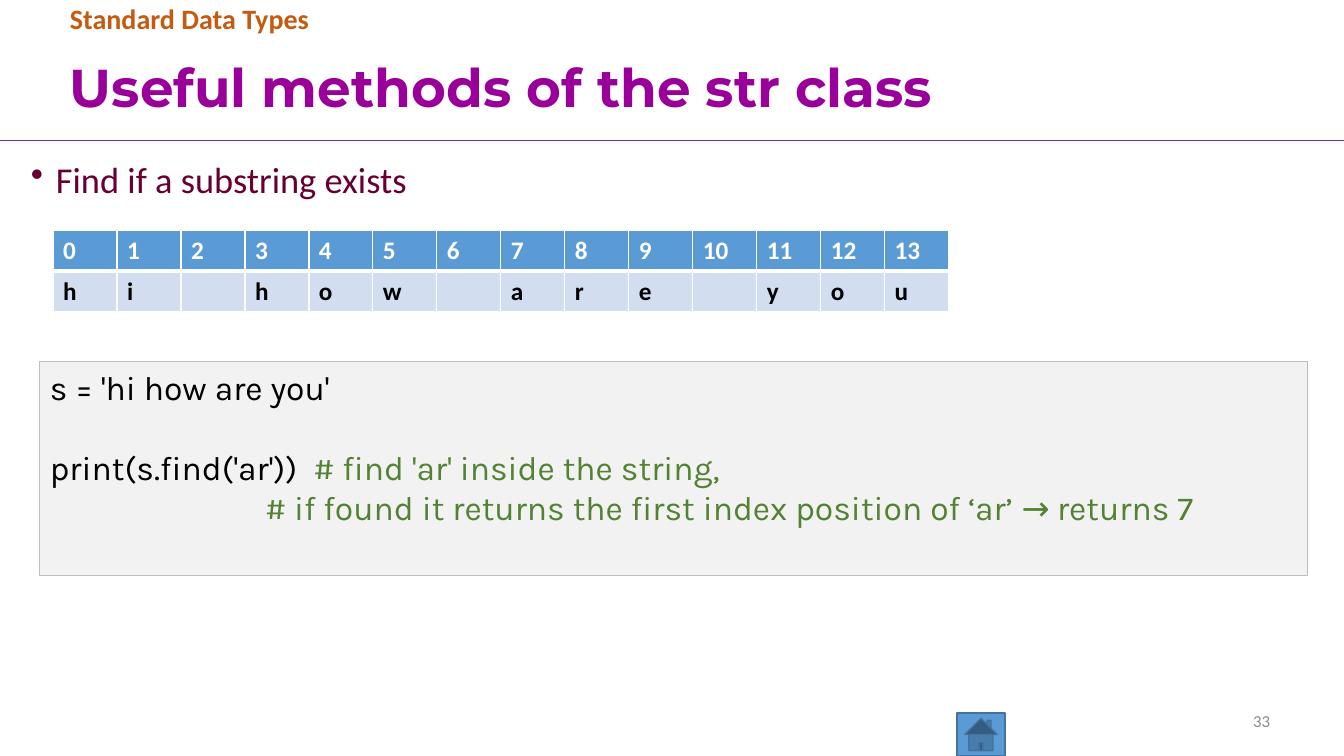
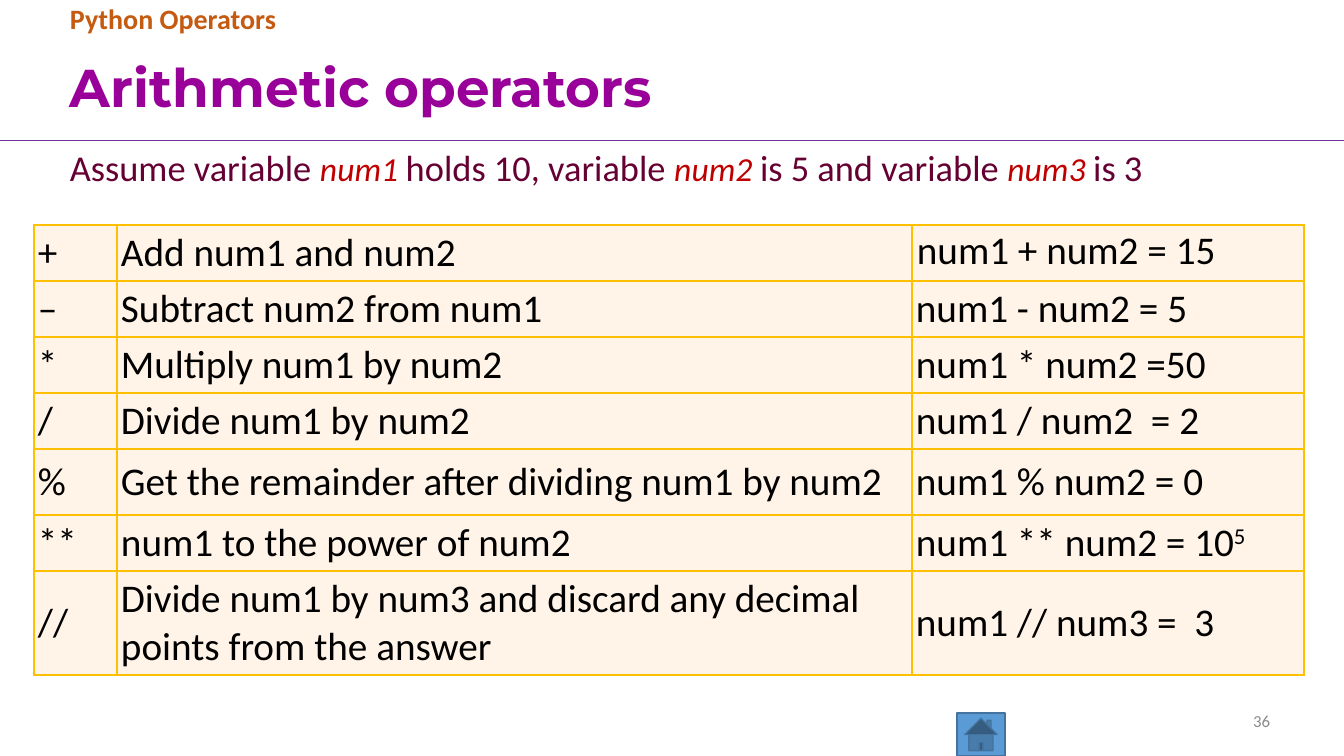
from dataclasses import dataclass

from lxml import etree
from pptx import Presentation
from pptx.dml.color import RGBColor
from pptx.enum.shapes import MSO_CONNECTOR, MSO_SHAPE
from pptx.enum.text import MSO_ANCHOR as Anchor, PP_ALIGN as Align
from pptx.oxml.ns import qn
from pptx.util import Emu, Pt

SLIDE_WIDTH, SLIDE_HEIGHT = 1344, 756
EMU_PER_PX = 12192000 / SLIDE_WIDTH

BODY_FONT, TITLE_FONT, CODE_FONT = "Calibri", "Montserrat", "Karla"
BLACK, WHITE = "000000", "FFFFFF"
PURPLE, ORANGE, PLUM, GRAY = "990099", "C55A11", "660033", "8C8C8C"
RULE_COLOR = "7030A0"
BLUE, DARK_BLUE, PALE_BLUE = "5B9BD5", "43739E", "D2DEEF"
CODE_FILL, CODE_LINE, COMMENT_GREEN = "F2F2F2", "BFBFBF", "548235"
GOLD, CREAM, RED = "FFC000", "FFF4E7", "C00000"


@dataclass(frozen=True)
class Box:
    left: int
    top: int
    width: int
    height: int

    def emu(self):
        return px(self.left), px(self.top), px(self.width), px(self.height)


@dataclass(frozen=True)
class Header:
    topic: str
    title: str
    number: int


@dataclass(frozen=True)
class Operator:
    symbol: str
    meaning: str
    example: str
    height: int = 56
    exponent: str = ""


OPERATORS = [
    Operator("+", "Add num1 and num2", "num1 + num2 = 15"),
    Operator("–", "Subtract num2 from num1", "num1 - num2 = 5"),
    Operator("*", "Multiply num1 by num2", "num1 * num2 =50"),
    Operator("/", "Divide num1 by num2", "num1 / num2  = 2"),
    Operator("%", "Get the remainder after dividing num1 by num2", "num1 % num2 = 0", 66),
    Operator("**", "num1 to the power of num2", "num1 ** num2 = 10", exponent="5"),
    Operator("//", "Divide num1 by num3 and discard any decimal points from the answer",
             "num1 // num3 =  3", 104),
]


def px(length: int) -> Emu:
    return Emu(round(length * EMU_PER_PX))


def rgb(color: str) -> RGBColor:
    return RGBColor.from_string(color)


def add_text(paragraph, text: str, *, size: int, color: str = BLACK, font: str = BODY_FONT,
             bold: bool = False, italic: bool = False, superscript: bool = False) -> None:
    run = paragraph.add_run()
    run.text = text
    run.font.name = font
    run.font.size = Pt(size)
    run.font.bold = bold
    run.font.italic = italic
    run.font.color.rgb = rgb(color)
    if superscript:
        run._r.get_or_add_rPr().set("baseline", "30000")


def add_text_box(slide, box: Box, anchor=Anchor.TOP):
    """Add an empty wrapping text box and return its first paragraph."""
    frame = slide.shapes.add_textbox(*box.emu()).text_frame
    frame.word_wrap = True
    frame.vertical_anchor = anchor
    return frame.paragraphs[0]


def add_filled_shape(slide, kind, box: Box, fill: str, line: str, line_width: float):
    shape = slide.shapes.add_shape(kind, *box.emu())
    shape.shadow.inherit = False
    shape.fill.solid()
    shape.fill.fore_color.rgb = rgb(fill)
    shape.line.color.rgb = rgb(line)
    shape.line.width = Pt(line_width)
    return shape


def add_slide(presentation, header: Header):
    """Add a slide with the rule, home button, title, topic and number."""
    slide = presentation.slides.add_slide(presentation.slide_layouts[6])
    rule = slide.shapes.add_connector(
        MSO_CONNECTOR.STRAIGHT, 0, px(140), px(SLIDE_WIDTH), px(140))
    rule.line.color.rgb = rgb(RULE_COLOR)
    rule.line.width = Pt(0.5)
    etree.SubElement(rule._element.spPr, qn("a:effectLst"))
    add_filled_shape(slide, MSO_SHAPE.ACTION_BUTTON_HOME, Box(957, 713, 48, 43),
                     BLUE, DARK_BLUE, 1)

    title = add_text_box(slide, Box(60, 41, 1219, 98), Anchor.MIDDLE)
    title.line_spacing = 0.9
    add_text(title, header.title, size=38, color=PURPLE, font=TITLE_FONT, bold=True)
    topic = add_text_box(slide, Box(60, 0, 1042, 41))
    topic.line_spacing = 0.9
    add_text(topic, header.topic, size=20, color=ORANGE, bold=True)
    number = add_text_box(slide, Box(950, 701, 330, 40), Anchor.MIDDLE)
    number.alignment = Align.RIGHT
    add_text(number, str(header.number), size=12, color=GRAY)
    return slide


def add_bullet(paragraph, indent: int) -> None:
    properties = paragraph._p.get_or_add_pPr()
    properties.set("marL", str(px(indent)))
    properties.set("indent", str(-px(indent)))
    etree.SubElement(properties, qn("a:buChar"), char="•")


def add_table(slide, left: int, top: int, widths: list[int], heights: list[int]):
    box = Box(left, top, sum(widths), sum(heights))
    table = slide.shapes.add_table(len(heights), len(widths), *box.emu()).table
    table.first_row = table.horz_banding = False
    for column, width in zip(table.columns, widths):
        column.width = px(width)
    for row, height in zip(table.rows, heights):
        row.height = px(height)
    return table


def style_cell(cell, fill: str, border: str, top: int = 1, bottom: int = 1) -> None:
    """Set the fill and borders; top and bottom are border widths in points."""
    properties = cell._tc.get_or_add_tcPr()
    for side, width in {"lnL": 1, "lnR": 1, "lnT": top, "lnB": bottom}.items():
        line = etree.SubElement(properties, qn(f"a:{side}"), w=str(Pt(width)))
        solid = etree.SubElement(line, qn("a:solidFill"))
        etree.SubElement(solid, qn("a:srgbClr"), val=border)
    cell.fill.solid()
    cell.fill.fore_color.rgb = rgb(fill)


def set_margins(cell, horizontal: int, vertical: int) -> None:
    cell.margin_left = cell.margin_right = px(horizontal)
    cell.margin_top = cell.margin_bottom = px(vertical)


def add_index_table(slide, text: str) -> None:
    """Show each character of the text below its index."""
    table = add_table(slide, 53, 230, [64] * len(text), [41, 41])
    for index, letter in enumerate(text):
        head, body = table.cell(0, index), table.cell(1, index)
        style_cell(head, BLUE, WHITE, bottom=3)
        style_cell(body, PALE_BLUE, WHITE, top=3)
        add_text(head.text_frame.paragraphs[0], str(index), size=18, color=WHITE, bold=True)
        if letter != " ":
            add_text(body.text_frame.paragraphs[0], letter, size=18, bold=True)


def add_code(slide) -> None:
    panel = add_filled_shape(slide, MSO_SHAPE.RECTANGLE, Box(40, 362, 1268, 214),
                             CODE_FILL, CODE_LINE, 0.75)
    frame = panel.text_frame
    frame.word_wrap = True
    frame.vertical_anchor = Anchor.TOP
    lines = [
        ("s = 'hi how are you'", ""),
        ("print(s.find('ar'))  ", "# find 'ar' inside the string,"),
        ("", "                           # if found it returns the first index position"
             " of ‘ar’ → returns 7"),
    ]
    for position, (code, comment) in enumerate(lines):
        paragraph = frame.add_paragraph() if position else frame.paragraphs[0]
        paragraph.alignment = Align.LEFT
        if position == 1:
            paragraph.space_before = Pt(28)
        for text, color in ((code, BLACK), (comment, COMMENT_GREEN)):
            if text:
                add_text(paragraph, text, size=24, color=color, font=CODE_FONT)


def add_operator_table(slide) -> None:
    table = add_table(slide, 34, 225, [83, 795, 392], [item.height for item in OPERATORS])
    for row, item in enumerate(OPERATORS):
        for column, text in enumerate((item.symbol, item.meaning, item.example)):
            cell = table.cell(row, column)
            style_cell(cell, CREAM, GOLD)
            set_margins(cell, 4, 4)
            cell.vertical_anchor = Anchor.MIDDLE
            add_text(cell.text_frame.paragraphs[0], text, size=28)
        if item.exponent:
            add_text(cell.text_frame.paragraphs[0], item.exponent, size=28, superscript=True)
    first_example = table.cell(0, 2)
    first_example.vertical_anchor = Anchor.TOP
    set_margins(first_example, 5, 2)


def add_assumption(slide) -> None:
    paragraph = add_text_box(slide, Box(60, 140, 1110, 54))
    phrases = [("Assume variable ", "num1 "), ("holds 10, variable ", "num2 "),
               ("is 5 and variable ", "num3 "), ("is 3", "")]
    for words, variable in phrases:
        add_text(paragraph, words, size=26, color=PLUM)
        if variable:
            add_text(paragraph, variable, size=24, color=RED, italic=True)


def build_string_slide(presentation) -> None:
    slide = add_slide(
        presentation, Header("Standard Data Types", "Useful methods of the str class", 33))
    paragraph = add_text_box(slide, Box(21, 152, 1306, 55))
    add_bullet(paragraph, 25)
    add_text(paragraph, "Find if a substring exists", size=26, color=PLUM)
    add_code(slide)
    add_index_table(slide, "hi how are you")


def build_operator_slide(presentation) -> None:
    slide = add_slide(presentation, Header("Python Operators", "Arithmetic operators", 36))
    add_operator_table(slide)
    add_assumption(slide)


def main() -> None:
    presentation = Presentation()
    presentation.slide_width = px(SLIDE_WIDTH)
    presentation.slide_height = px(SLIDE_HEIGHT)
    build_string_slide(presentation)
    build_operator_slide(presentation)
    presentation.save("out.pptx")


if __name__ == "__main__":
    main()
